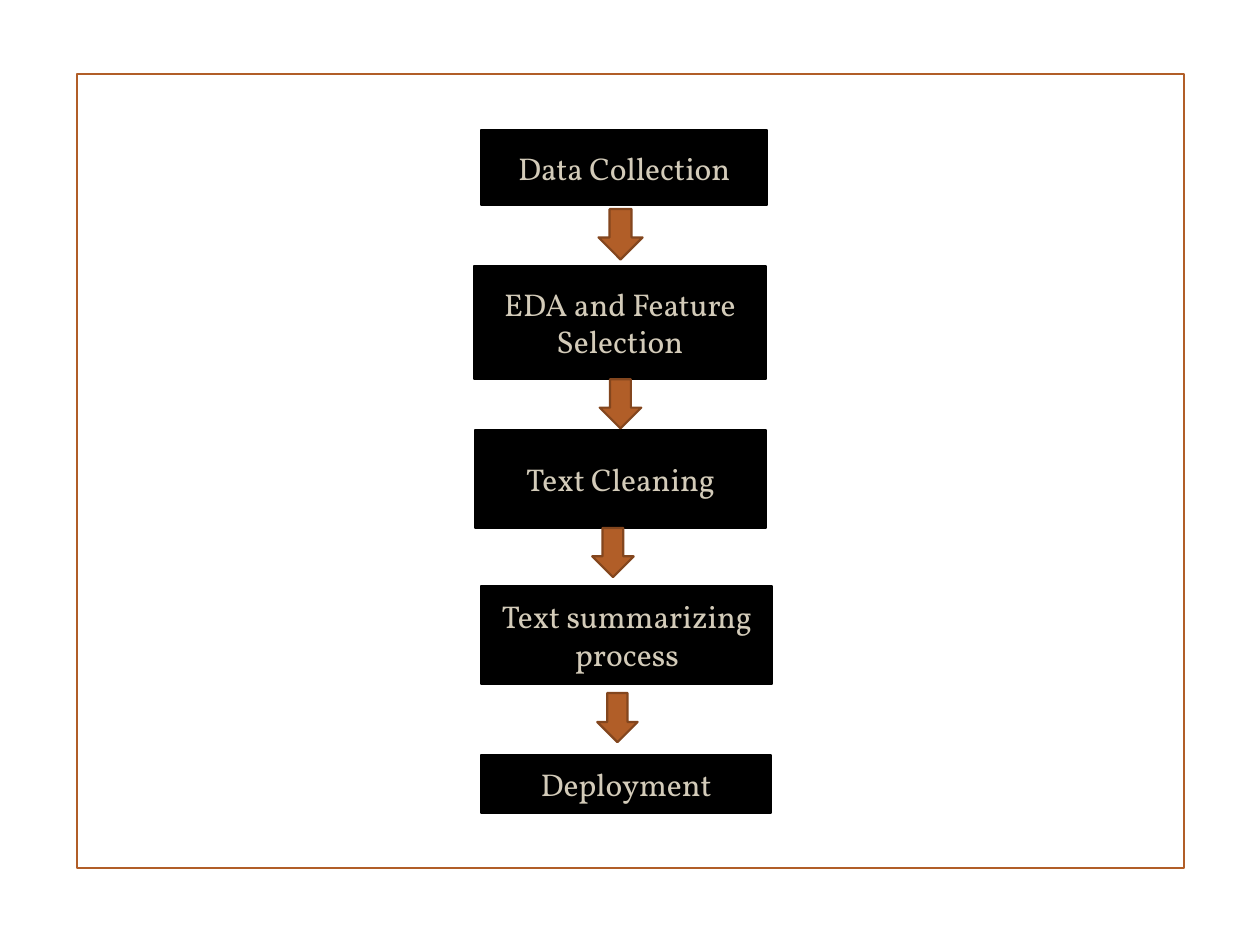
import pptx
import pptx.util
from dataclasses import dataclass
from pptx.dml.color import RGBColor
from pptx.enum.shapes import MSO_SHAPE
from pptx.enum.text import MSO_ANCHOR, PP_ALIGN
from pptx.util import Pt


@dataclass(frozen=True)
class Theme:
    accent: RGBColor = RGBColor.from_string("B15E28")
    accent_edge: RGBColor = RGBColor.from_string("83461E")
    step_fill: RGBColor = RGBColor.from_string("000000")
    step_text: RGBColor = RGBColor.from_string("D3CBB9")
    font: str = "Vollkorn"
    step_size: float = 18
    line_width: float = 1.25


THEME = Theme()
FRAME = (43.92, 42.48, 632.88, 453.6)

# Left, top, width, height in points, measured from the frame corner
STEPS = [
    ("Data Collection", (231.12, 31.68, 163.44, 43.2)),
    ("EDA and Feature Selection", (226.8, 109.44, 167.04, 64.8)),
    ("Text Cleaning", (227.52, 203.04, 166.32, 56.16)),
    ("Text summarizing process", (231.12, 292.32, 166.32, 56.16)),
    ("Deployment", (231.12, 388.8, 165.6, 33.12)),
]
ARROWS = [
    (298.08, 77.04, 25.2, 28.8),
    (298.8, 174.24, 23.76, 28.08),
    (294.48, 259.2, 23.76, 28.08),
    (297.36, 353.52, 23.04, 28.08),
]


def add_outlined(slide, preset, box, fill, line):
    shape = slide.shapes.add_shape(preset, *(pptx.util.Pt(v) for v in box))
    shape.shadow.inherit = False
    if fill is None:
        shape.fill.background()
    else:
        shape.fill.solid()
        shape.fill.fore_color.rgb = fill
    shape.line.color.rgb = line
    shape.line.width = pptx.util.Pt(THEME.line_width)
    return shape


def within(region, box):
    left, top, width, height = box
    return region[0] + left, region[1] + top, width, height


def add_frame(slide, region):
    add_outlined(slide, MSO_SHAPE.RECTANGLE, region, None, THEME.accent)


def add_step(slide, box, label):
    step = add_outlined(slide, MSO_SHAPE.RECTANGLE, box,
                        THEME.step_fill, THEME.step_fill)
    step.text_frame.word_wrap = True
    step.text_frame.vertical_anchor = MSO_ANCHOR.MIDDLE
    paragraph = step.text_frame.paragraphs[0]
    paragraph.text = label
    paragraph.alignment = PP_ALIGN.CENTER
    paragraph.font.name = THEME.font
    paragraph.font.size = pptx.util.Pt(THEME.step_size)
    paragraph.font.color.rgb = THEME.step_text


def add_flow(slide, region):
    # Process steps
    for label, box in STEPS:
        add_step(slide, within(region, box), label)
    # Arrows between the steps
    for box in ARROWS:
        add_outlined(slide, MSO_SHAPE.DOWN_ARROW, within(region, box),
                     THEME.accent, THEME.accent_edge)


def main():
    presentation = pptx.Presentation()
    presentation.slide_width = pptx.util.Pt(720)
    presentation.slide_height = pptx.util.Pt(540)
    slide = presentation.slides.add_slide(presentation.slide_layouts[6])
    add_frame(slide, FRAME)
    add_flow(slide, FRAME)
    presentation.save("out.pptx")


if __name__ == "__main__":
    main()
